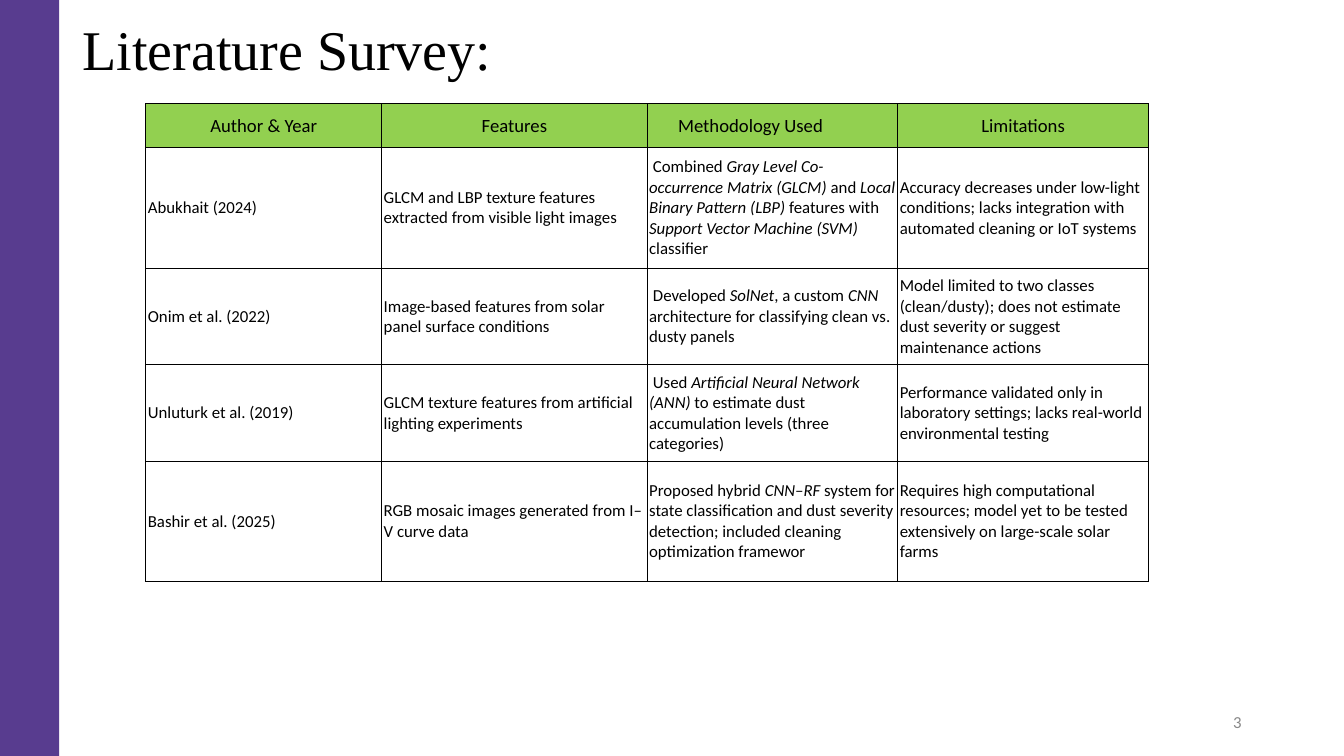
from dataclasses import dataclass

from lxml.etree import SubElement
from pptx import Presentation
from pptx.dml.color import RGBColor
from pptx.enum.shapes import MSO_SHAPE
from pptx.enum.text import MSO_ANCHOR, PP_ALIGN
from pptx.oxml.ns import qn
from pptx.util import Inches, Pt


@dataclass(frozen=True)
class Theme:
    purple: RGBColor = RGBColor(0x58, 0x3C, 0x8F)
    green: RGBColor = RGBColor(0x92, 0xD0, 0x50)
    black: RGBColor = RGBColor(0, 0, 0)
    grey: RGBColor = RGBColor(0x88, 0x88, 0x88)
    title_font: str = "Times New Roman"
    body_font: str = "Calibri"
    title_size: int = 60
    header_size: int = 20
    body_size: int = 18
    border_width: int = 1


THEME = Theme()

# Grid of square units: 100 columns by 56.25 rows
COLS, ROWS = 100, 56.25
UNIT = 0.2

COLUMN_WIDTHS = [17.55, 19.75, 18.65, 18.65]
ROW_HEIGHTS = [3.3, 8.95, 7.2, 7.2, 8.9]

HEADERS = ["Author & Year", "Features", "Methodology Used", "Limitations"]
INDENTED_HEADER = "Methodology Used"

# Asterisks enclose italic words
STUDIES = [
    ["Abukhait (2024)",
     "GLCM and LBP texture features extracted from visible light images",
     " Combined *Gray Level Co-occurrence Matrix (GLCM)* and *Local Binary Pattern (LBP)*"
     " features with *Support Vector Machine (SVM)* classifier",
     "Accuracy decreases under low-light conditions; lacks integration with "
     "automated cleaning or IoT systems"],
    ["Onim et al. (2022)",
     "Image-based features from solar panel surface conditions",
     " Developed *SolNet*, a custom *CNN* architecture for classifying clean vs. dusty panels",
     "Model limited to two classes (clean/dusty); does not estimate dust severity "
     "or suggest maintenance actions"],
    ["Unluturk et al. (2019)",
     "GLCM texture features from artificial lighting experiments",
     " Used *Artificial Neural Network (ANN)* to estimate dust accumulation levels "
     "(three categories)",
     "Performance validated only in laboratory settings; lacks real-world "
     "environmental testing"],
    ["Bashir et al. (2025)",
     "RGB mosaic images generated from I–V curve data",
     "Proposed hybrid *CNN–RF* system for state classification and dust severity "
     "detection; included cleaning optimization framewor",
     "Requires high computational resources; model yet to be tested extensively "
     "on large-scale solar farms"],
]


def grid(*units):
    return [Inches(u * UNIT) for u in units]


def format_font(font, name, size, color):
    font.name = name
    font.size = Pt(size)
    font.color.rgb = color


def set_margins(target, side, top, bottom):
    target.margin_left = target.margin_right = Inches(side)
    target.margin_top, target.margin_bottom = Inches(top), Inches(bottom)


def add_side_band(slide):
    sp = slide.shapes.add_shape(MSO_SHAPE.RECTANGLE, *grid(0, 0, 4.4, ROWS))
    sp.shadow.inherit = False
    sp.fill.solid()
    sp.fill.fore_color.rgb = THEME.purple
    sp.line.fill.background()


def add_title(slide, text):
    sp = slide.shapes.title
    sp.left, sp.top, sp.width, sp.height = grid(6.15, 1, 34.05, 5.1)
    tf = sp.text_frame
    tf.text = text
    tf.word_wrap = False
    tf.vertical_anchor = MSO_ANCHOR.TOP
    set_margins(tf, 0, 0.01, 0)
    p = tf.paragraphs[0]
    p.alignment = PP_ALIGN.LEFT
    format_font(p.runs[0].font, THEME.title_font, THEME.title_size, THEME.black)


def add_page_number(slide, text):
    tf = slide.shapes.add_textbox(*grid(91.75, 53.2, 0.75, 1.25)).text_frame
    tf.text = text
    set_margins(tf, 0, 0, 0)
    p = tf.paragraphs[0]
    p.line_spacing = Pt(18.1)
    format_font(p.runs[0].font, THEME.body_font, THEME.body_size, THEME.grey)


def add_borders(cell):
    tc_pr = cell._tc.get_or_add_tcPr()
    for side in ("a:lnL", "a:lnR", "a:lnT", "a:lnB"):
        ln = SubElement(tc_pr, qn(side), w=str(Pt(THEME.border_width)))
        fill = SubElement(ln, qn("a:solidFill"))
        SubElement(fill, qn("a:srgbClr"), val=str(THEME.black))


def fill_cell(cell, text, size):
    cell.vertical_anchor = MSO_ANCHOR.MIDDLE
    set_margins(cell, 0.03, 0.01, 0.01)
    add_borders(cell)
    cell.fill.background()
    p = cell.text_frame.paragraphs[0]
    for i, part in enumerate(text.split("*")):
        if part:
            r = p.add_run()
            r.text = part
            format_font(r.font, THEME.body_font, size, THEME.black)
            r.font.italic = i % 2 == 1


def fill_header(cell, text):
    fill_cell(cell, text, THEME.header_size)
    cell.fill.solid()
    cell.fill.fore_color.rgb = THEME.green
    if text == INDENTED_HEADER:
        cell.margin_left = Inches(0.46)
    else:
        cell.text_frame.paragraphs[0].alignment = PP_ALIGN.CENTER


def add_survey_table(slide):
    box = grid(10.85, 7.7, sum(COLUMN_WIDTHS), sum(ROW_HEIGHTS))
    table = slide.shapes.add_table(len(ROW_HEIGHTS), len(COLUMN_WIDTHS), *box).table
    table.first_row = table.horz_banding = False
    for column, width in zip(table.columns, grid(*COLUMN_WIDTHS)):
        column.width = width
    for row, height in zip(table.rows, grid(*ROW_HEIGHTS)):
        row.height = height
    for c, text in enumerate(HEADERS):
        fill_header(table.cell(0, c), text)
    for r, study in enumerate(STUDIES, start=1):
        for c, text in enumerate(study):
            fill_cell(table.cell(r, c), text, THEME.body_size)


def main():
    prs = Presentation()
    prs.slide_width, prs.slide_height = grid(COLS, ROWS)
    slide = prs.slides.add_slide(prs.slide_layouts[5])  # title only
    add_side_band(slide)
    add_title(slide, "Literature Survey:")
    add_survey_table(slide)
    add_page_number(slide, "3")
    prs.save("out.pptx")


if __name__ == "__main__":
    main()
